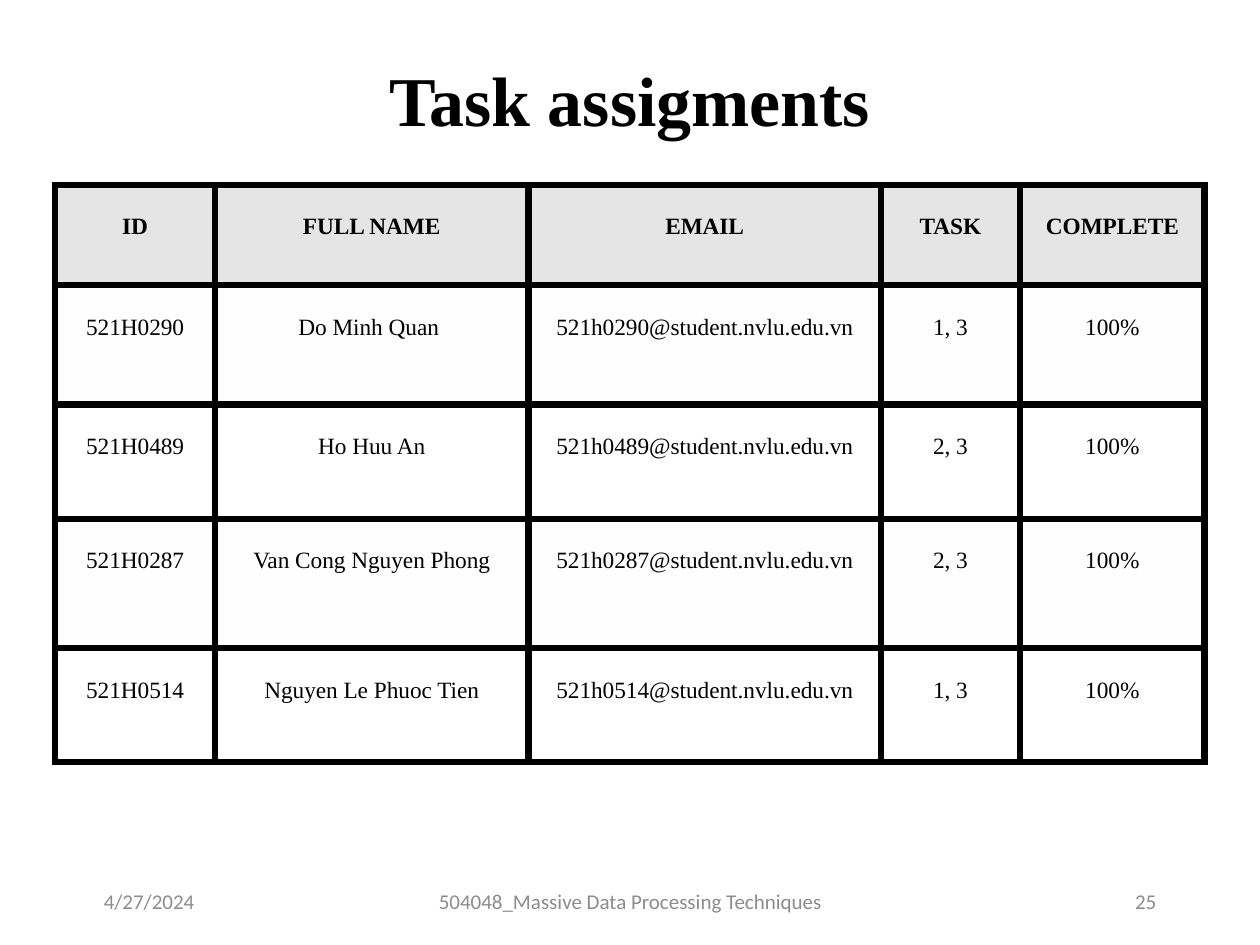
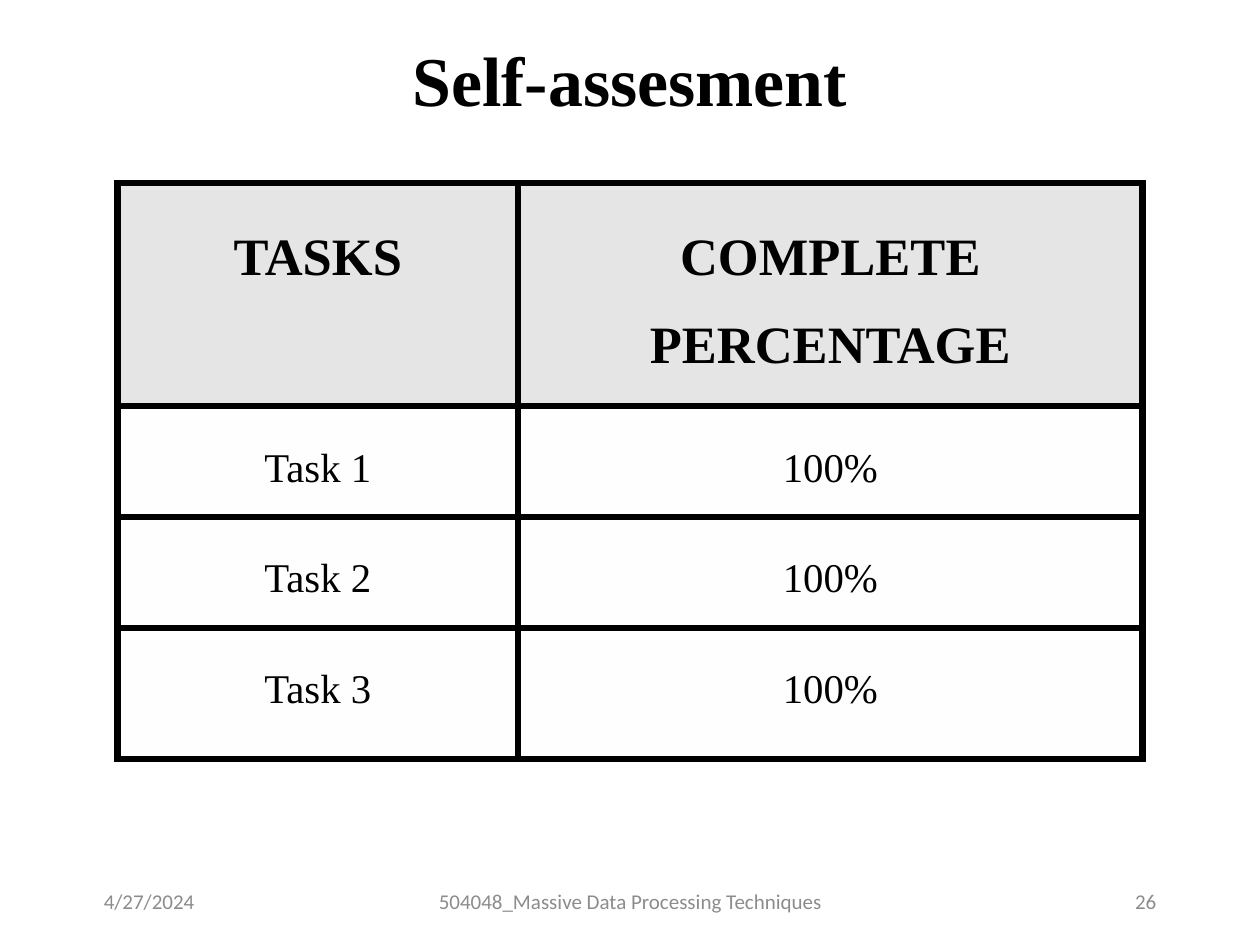
import dataclasses
import typing

import lxml.etree
import pptx
import pptx.dml.color
import pptx.enum.text
import pptx.oxml.ns
import pptx.util

PX = 9144  # EMU in one px, at 100 px to the inch
ALIGN = pptx.enum.text.PP_ALIGN
ANCHOR = pptx.enum.text.MSO_ANCHOR
FIT = pptx.enum.text.MSO_AUTO_SIZE


@dataclasses.dataclass(frozen=True)
class Theme:
    serif: str = "Times New Roman"
    sans: str = "Calibri"
    ink: str = "000000"
    grey: str = "8C8C8C"
    head: str = "E5E5E5"
    pale: str = "FEFEFE"
    white: str = "FFFFFF"
    title: float = 30
    foot: float = 9
    line: float = 3


THEME = Theme()
WIDTH, HEIGHT = 751, 563
INSET = 10
MAIL = "{}@student.nvlu.edu.vn"


@dataclasses.dataclass(frozen=True)
class Box:
    left: int
    top: int
    width: int
    height: int


@dataclasses.dataclass(frozen=True)
class Style:
    font: str
    size: float
    color: str
    bold: bool = False
    align: ALIGN = ALIGN.CENTER
    space: float = 1.0


@dataclasses.dataclass(frozen=True)
class Grid:
    top: int
    cols: tuple[int, ...]
    rows: tuple[int, ...]
    text: list[tuple[str, ...]]
    head: float
    body: float
    fills: tuple[str, ...]


@dataclasses.dataclass(frozen=True)
class Page:
    title: str
    place: Box
    number: int
    grid: Grid


def emu(px: int) -> pptx.util.Emu:
    return pptx.util.Emu(px * PX)


def mid(width: int) -> int:
    """Left edge that centres a width on the slide."""
    return (WIDTH - width) // 2


def apply(target: typing.Any, values: dict[str, typing.Any]) -> None:
    for name, value in values.items():
        setattr(target, name, value)


def margins(px: int) -> dict[str, typing.Any]:
    return {f"margin_{side}": emu(px) for side in ("left", "top", "right", "bottom")}


def write(frame: typing.Any, text: str, style: Style) -> None:
    para = frame.paragraphs[0]
    apply(para, {"alignment": style.align, "line_spacing": style.space})
    run = para.add_run()
    run.text = text
    apply(run.font, {"name": style.font, "size": pptx.util.Pt(style.size),
                     "bold": style.bold})
    run.font.color.rgb = pptx.dml.color.RGBColor.from_string(style.color)


def label(slide: typing.Any, box: Box, text: str, style: Style,
          form: dict[str, typing.Any]) -> None:
    sides = map(emu, dataclasses.astuple(box))
    frame = slide.shapes.add_textbox(*sides).text_frame
    apply(frame, {"word_wrap": True, **form})
    write(frame, text, style)


def border(cell: typing.Any) -> None:
    """Line all four sides; the lines must come before the fill in the XML."""
    qn = pptx.oxml.ns.qn
    props = cell.fill._xPr
    for spot, tag in enumerate(("a:lnL", "a:lnR", "a:lnT", "a:lnB")):
        line = lxml.etree.Element(qn(tag), w=str(pptx.util.Pt(THEME.line)))
        fill = lxml.etree.SubElement(line, qn("a:solidFill"))
        lxml.etree.SubElement(fill, qn("a:srgbClr"), val=THEME.ink)
        props.insert(spot, line)


def table(slide: typing.Any, grid: Grid) -> None:
    width = sum(grid.cols)
    box = Box(mid(width), grid.top, width, sum(grid.rows))
    sides = map(emu, dataclasses.astuple(box))
    chart = slide.shapes.add_table(len(grid.rows), len(grid.cols), *sides).table
    apply(chart, {"first_row": False, "horz_banding": False})
    for col, size in zip(chart.columns, grid.cols):
        col.width = emu(size)
    for row, size in zip(chart.rows, grid.rows):
        row.height = emu(size)
    for i, words in enumerate(grid.text):
        top = i == 0
        fill = THEME.head if top else grid.fills[(i - 1) % len(grid.fills)]
        style = Style(THEME.serif, grid.head if top else grid.body, THEME.ink,
                      bold=top, space=1.5)
        for j, text in enumerate(words):
            cell = chart.cell(i, j)
            apply(cell, margins(INSET))
            cell.fill.solid()
            cell.fill.fore_color.rgb = pptx.dml.color.RGBColor.from_string(fill)
            border(cell)
            write(cell.text_frame, text, style)


def footer(slide: typing.Any, number: int) -> None:
    parts = (
        (52, 169, "4/27/2024", ALIGN.LEFT),
        (249, 253, "504048_Massive Data Processing Techniques", ALIGN.CENTER),
        (530, 169, str(number), ALIGN.RIGHT),
    )
    for left, width, text, align in parts:
        style = Style(THEME.sans, THEME.foot, THEME.grey, align=align)
        label(slide, Box(left, 522, width, 30), text, style,
              {"vertical_anchor": ANCHOR.MIDDLE})


def draw(deck: typing.Any, page: Page) -> None:
    slide = deck.slides.add_slide(deck.slide_layouts[6])
    table(slide, page.grid)
    style = Style(THEME.serif, THEME.title, THEME.ink, bold=True, space=1.5)
    label(slide, page.place, page.title, style,
          {"auto_size": FIT.SHAPE_TO_FIT_TEXT, **margins(0)})
    footer(slide, page.number)


TEAM = (
    ("521H0290", "Do Minh Quan ", "1, 3"),
    ("521H0489", "Ho Huu An", "2, 3"),
    ("521H0287", "Van Cong Nguyen Phong", "2, 3"),
    ("521H0514", "Nguyen Le Phuoc Tien", "1, 3"),
)
DONE = "100%"

PAGES = (
    Page("Task assigments", Box(mid(357), 9, 357, 67), 25, Grid(
        top=110, cols=(95, 187, 210, 83, 110), rows=(60, 71, 68, 77, 68),
        text=[("ID", "FULL NAME", "EMAIL", "TASK", "COMPLETE")]
        + [(code, name, MAIL.format(code.lower()), task, DONE)
           for code, name, task in TEAM],
        head=10, body=10, fills=(THEME.pale, THEME.white))),
    Page("Self-assesment", Box(mid(307), -3, 307, 67), 26, Grid(
        top=109, cols=(239, 372), rows=(133, 66, 66, 78),
        text=[("TASKS", "COMPLETE PERCENTAGE")]
        + [(f"Task {n}", DONE) for n in range(1, 4)],
        head=22.5, body=17.5, fills=(THEME.pale,))),
)


def main() -> None:
    deck = pptx.Presentation()
    apply(deck, {"slide_width": emu(WIDTH), "slide_height": emu(HEIGHT)})
    for page in PAGES:
        draw(deck, page)
    deck.save("out.pptx")


if __name__ == "__main__":
    main()
